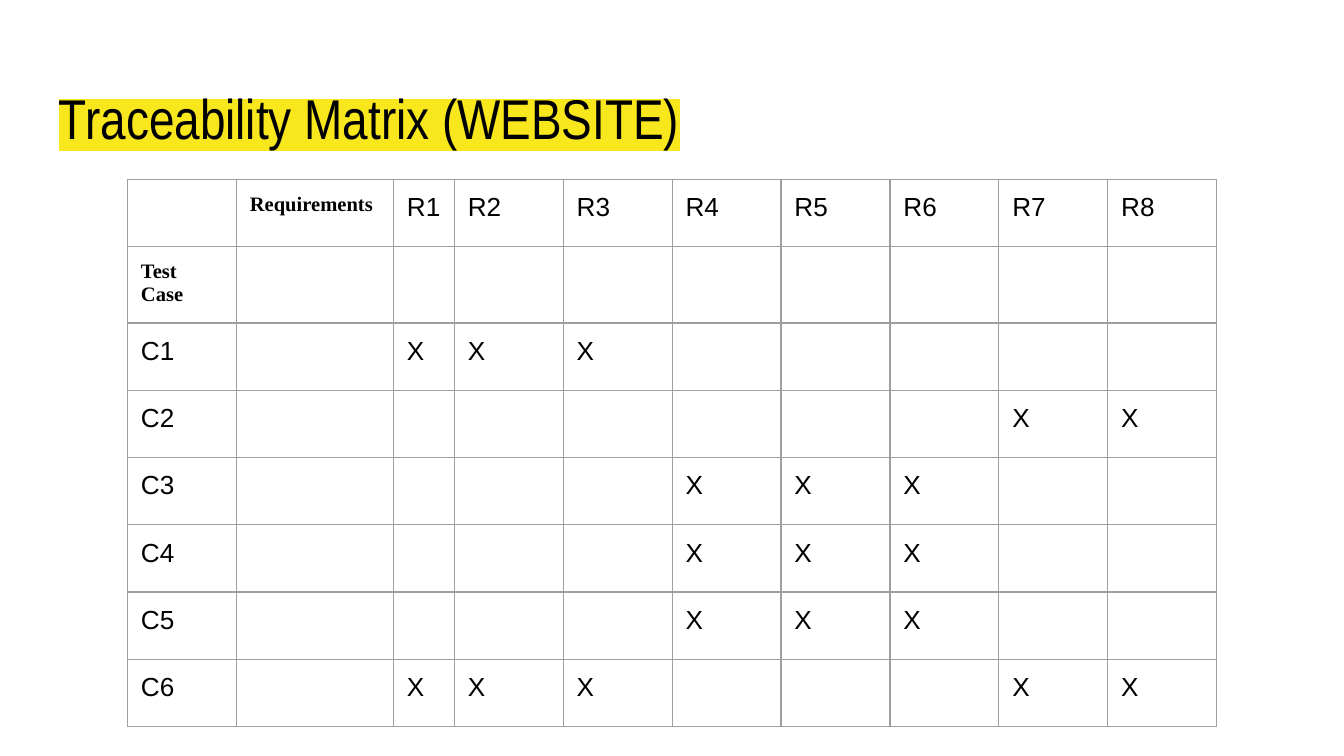
import pptx
import pptx.util
import pptx.dml.color
import pptx.oxml
import pptx.oxml.ns

Pt = pptx.util.Pt
HEX = {"ink": "000000", "mark": "F8E71C", "rule": "9E9E9E"}
NS = pptx.oxml.ns.nsdecls("a")
INSET = 7.2

HEADS = ["R1", "R2", "R3", "R4", "R5", "R6", "R7", "R8"]
CASES = {
    "C1": ["R1", "R2", "R3"],
    "C2": ["R7", "R8"],
    "C3": ["R4", "R5", "R6"],
    "C4": ["R4", "R5", "R6"],
    "C5": ["R4", "R5", "R6"],
    "C6": ["R1", "R2", "R3", "R7", "R8"],
}
WIDTHS = [58.35, 84.2, 32.6] + [58.35] * 7
HEIGHTS = [34.45, 39.1] + [34.45] * 6


class Deck:
    def __init__(self, width, height):
        self.show = pptx.Presentation()
        self.show.slide_width = Pt(width)
        self.show.slide_height = Pt(height)
        self.slide = self.show.slides.add_slide(self.show.slide_layouts[6])

    def style(self, para, face, size, bold=False):
        font = para.font
        font.name, font.size, font.bold = face, Pt(size), bold
        font.color.rgb = pptx.dml.color.RGBColor.from_string(HEX["ink"])

    def title(self, text, left, top, width, height):
        """Add a heading with a marker colour behind its text."""
        frame = self.slide.shapes.add_textbox(
            Pt(left), Pt(top), Pt(width), Pt(height)).text_frame
        frame.word_wrap = True
        frame.margin_left = frame.margin_right = Pt(INSET)
        frame.margin_top, frame.margin_bottom = Pt(15), 0
        para = frame.paragraphs[0]
        para.line_spacing = 0.85
        run = para.add_run()
        run.text = text
        run.font._element.append(pptx.oxml.parse_xml(
            f'<a:highlight {NS}><a:srgbClr val="{HEX["mark"]}"/></a:highlight>'))
        self.style(para, "Arial Narrow", 30)

    def border(self, cell):
        props = cell._tc.get_or_add_tcPr()
        for spot, side in enumerate(["lnL", "lnR", "lnT", "lnB"]):
            props.insert(spot, pptx.oxml.parse_xml(
                f'<a:{side} {NS} w="{Pt(0.75)}"><a:solidFill>'
                f'<a:srgbClr val="{HEX["rule"]}"/></a:solidFill></a:{side}>'))

    def table(self, rows, left, top, labels):
        """Add a ruled grid; the texts in labels are set as small bold serif."""
        grid = self.slide.shapes.add_table(
            len(rows), len(WIDTHS), Pt(left), Pt(top),
            Pt(sum(WIDTHS)), Pt(sum(HEIGHTS))).table
        grid.first_row = grid.horz_banding = False
        for col, width in zip(grid.columns, WIDTHS):
            col.width = Pt(width)
        for row, height, texts in zip(grid.rows, HEIGHTS, rows):
            row.height = Pt(height)
            for cell, text in zip(row.cells, texts):
                cell.fill.background()
                self.border(cell)
                cell.margin_left = cell.margin_right = Pt(INSET)
                cell.margin_top = cell.margin_bottom = Pt(INSET)
                if not text:
                    continue
                cell.text = text
                para = cell.text_frame.paragraphs[0]
                if text in labels:
                    self.style(para, "Times New Roman", 11, True)
                else:
                    self.style(para, "Arial", 14)


def main():
    deck = Deck(720, 405)
    deck.title("Traceability Matrix (WEBSITE)", 24.5, 35.3, 671, 45.4)
    rows = [["", "Requirements"] + HEADS, ["Test Case"] + [""] * 9]
    for case, needs in CASES.items():
        rows.append([case, ""] + ["X" if head in needs else "" for head in HEADS])
    deck.table(rows, 68.3, 96.2, ["Requirements", "Test Case"])
    deck.show.save("out.pptx")


if __name__ == "__main__":
    main()
